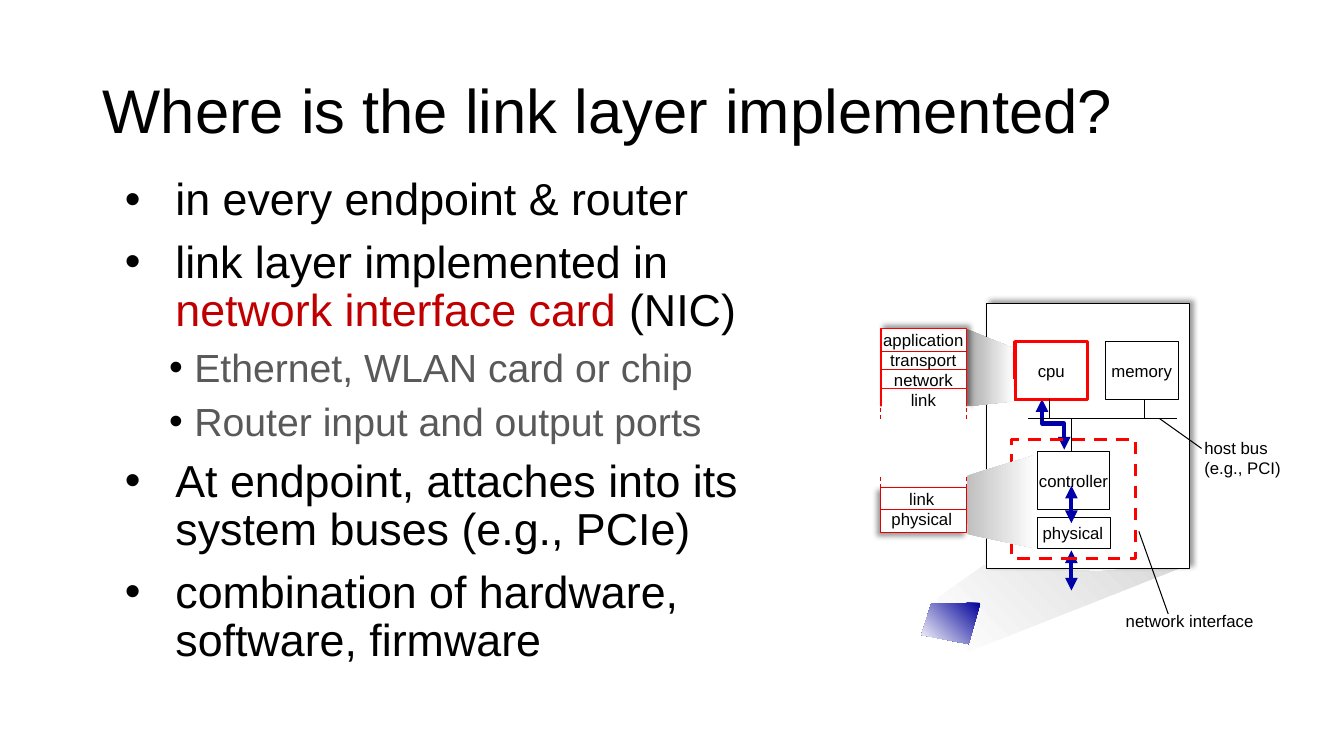
from lxml import etree
from pptx import Presentation
from pptx.dml.color import RGBColor
from pptx.enum.dml import MSO_LINE
from pptx.enum.shapes import MSO_CONNECTOR, MSO_SHAPE
from pptx.enum.text import MSO_ANCHOR, PP_ALIGN
from pptx.oxml.ns import qn
from pptx.util import Cm, Pt

RECTANGLE, STRAIGHT, DASH = MSO_SHAPE.RECTANGLE, MSO_CONNECTOR.STRAIGHT, MSO_LINE.DASH
TOP, MIDDLE = MSO_ANCHOR.TOP, MSO_ANCHOR.MIDDLE
LEFT, CENTER = PP_ALIGN.LEFT, PP_ALIGN.CENTER

BLACK, WHITE = RGBColor(0, 0, 0), RGBColor(255, 255, 255)
RED, STACK_RED = RGBColor(255, 0, 0), RGBColor(0xE4, 0, 0)
DARK_RED = RGBColor(0xC0, 0, 0)
GREY = RGBColor(0x59, 0x59, 0x59)
ARROW_BLUE, SCREEN_BLUE = RGBColor(0, 0, 0xA8), RGBColor(0, 0, 0x99)
PALE, SILVER, ASH = (RGBColor(v, v, v) for v in (0xD9, 0xBF, 0xA6))

# Content: text
TITLE = "Where is the link layer implemented?"
BULLETS = [  # level, spans of (text, colour)
    (0, [("in every endpoint & router", BLACK)]),
    (0, [("link layer implemented in ", BLACK),
         ("network interface card ", DARK_RED), ("(NIC)", BLACK)]),
    (1, [("Ethernet, WLAN card or chip", GREY)]),
    (1, [("Router input and output ports", GREY)]),
    (0, [("At endpoint, attaches into its system buses (e.g., PCIe)", BLACK)]),
    (0, [("combination of hardware, software, firmware", BLACK)]),
]
LEVELS = [  # format, text size, left margin, bullet indent
    ({"line_spacing": 0.9, "space_before": Pt(10)}, 32, 1.45, -1.27),
    ({"line_spacing": 1.0, "space_before": Pt(5)}, 28, 1.93, -0.64),
]

# Content: drawing, lengths in centimetres
BUS_Y = 10.54
CHIP_TOP, CHIP_WIDTH, CHIP_HEIGHT = 8.61, 1.83, 1.45
CHIP_BOTTOM = CHIP_TOP + CHIP_HEIGHT
NIC_X = 27.0
STACK_LEFT, STACK_WIDTH = 22.2, 2.16
STACK_RIGHT = STACK_LEFT + STACK_WIDTH

HOST_BEAM = [(23.57, 15.27), (23.65, 15.06), (24.79, 14.25),
             (27.66, 14.4), (29.97, 14.22), (24.38, 16.43)]
NIC_BEAM = [(26.11, 11.46), (24.36, 11.99), (24.38, 13.46), (26.11, 13.82)]
CPU_BEAM = [(25.5, 8.76), (24.33, 8.28), (24.36, 10.24), (25.55, 10.11)]
SCREEN = [(24.71, 15.19), (23.47, 15.21), (23.22, 16), (24.41, 16.23)]
BUS_ARROW = [(26.26, 10.06), (26.26, 10.67), (26.82, 10.67), (26.82, 11.33)]

deck = Presentation()
deck.slide_width, deck.slide_height = Cm(33.87), Cm(19.05)
page = deck.slides.add_slide(deck.slide_layouts[6])


def apply(target, values):
    for name, value in values.items():
        setattr(target, name, value)


def add_span(para, text, size, color):
    span = para.add_run()
    span.text = text
    apply(span.font, {"name": "Arial", "size": Pt(size)})
    span.font.color.rgb = color


def write(shape, lines, size=12, align=LEFT, anchor=TOP, wrap=False, spacing=1.0):
    frame = shape.text_frame
    apply(frame, {"word_wrap": wrap, "vertical_anchor": anchor})
    for number, line in enumerate(lines):
        para = frame.add_paragraph() if number else frame.paragraphs[0]
        apply(para, {"alignment": align, "line_spacing": spacing})
        add_span(para, line, size, BLACK)


def text_box(area, lines, **options):
    write(page.shapes.add_textbox(*map(Cm, area)), lines, **options)


def set_line(shape, color, width, dash=None):
    shape.line.color.rgb = color
    shape.line.width = Pt(width)
    if dash:
        shape.line.dash_style = dash


def add_heads(shape):
    outline = shape._element.spPr.get_or_add_ln()
    for end in ("a:headEnd", "a:tailEnd"):
        etree.SubElement(outline, qn(end), type="triangle")


def rect(area, color=None, width=0.75, fill=WHITE, dash=None, label=None, shadow=None):
    shape = page.shapes.add_shape(RECTANGLE, *map(Cm, area))
    shape.shadow.inherit = False
    if fill is None:
        shape.fill.background()
    else:
        shape.fill.solid()
        shape.fill.fore_color.rgb = fill
    if color is None:
        shape.line.fill.background()
    else:
        set_line(shape, color, width, dash)
    if shadow is not None:
        effects = shape._element.spPr.find(qn("a:effectLst"))
        outer = etree.SubElement(effects, qn("a:outerShdw"), blurRad=str(Pt(4)),
                                 dist=str(Pt(3)), dir=str(shadow * 60000), rotWithShape="0")
        tint = etree.SubElement(outer, qn("a:srgbClr"), val=str(BLACK))
        etree.SubElement(tint, qn("a:alpha"), val="40000")
    if label:
        write(shape, [label], align=CENTER, anchor=MIDDLE)


def line(x1, y1, x2, y2, color=BLACK, width=0.75, dash=None, heads=False):
    link = page.shapes.add_connector(STRAIGHT, *map(Cm, (x1, y1, x2, y2)))
    set_line(link, color, width, dash)
    if heads:
        add_heads(link)
    etree.SubElement(link._element.spPr, qn("a:effectLst"))


def outline_shape(points, close):
    corners = [(Cm(x), Cm(y)) for x, y in points]
    builder = page.shapes.build_freeform(*corners[0], scale=1.0)
    builder.add_line_segments(corners[1:], close=close)
    shape = builder.convert_to_shape()
    shape.shadow.inherit = False
    return shape


def gradient(points, colors, angle):
    shape = outline_shape(points, True)
    shape.fill.gradient()
    shape.fill.gradient_angle = angle
    for stop, color in zip(shape.fill.gradient_stops, colors):
        stop.color.rgb = color
    shape.line.fill.background()


# Host with its chips and bus
gradient(HOST_BEAM, (WHITE, PALE), 45)
rect((24.87, 7.65, 5.11, 6.68), BLACK, shadow=315)
rect((26.14, 13.03, 1.85, 0.79), BLACK)
rect((26.14, 11.38, CHIP_WIDTH, CHIP_HEIGHT), BLACK, label="controller")
text_box((26.01, 13.06, 2.06, 1.27), ["physical"], align=CENTER)
bus_arrow = outline_shape(BUS_ARROW, False)
bus_arrow.fill.background()
set_line(bus_arrow, ARROW_BLUE, 3)
add_heads(bus_arrow)
line(25.91, BUS_Y, 29.67, BUS_Y)
line(NIC_X, 11.38, NIC_X, BUS_Y)
for label, left, stem, color, width in [("cpu", 25.58, 26.44, RED, 2.25),
                                        ("memory", 27.86, 28.85, BLACK, 0.75)]:
    rect((left, CHIP_TOP, CHIP_WIDTH, CHIP_HEIGHT), color, width, label=label)
    line(stem, BUS_Y, stem, CHIP_BOTTOM)
for start, end in [(12.24, 13.18), (13.87, 14.88)]:
    line(NIC_X, start, NIC_X, end, ARROW_BLUE, 3, heads=True)

# Callouts
text_box((30.1, 10.9, 2.9, 1.27), ["host bus", "(e.g., PCI)"], wrap=True)
line(30.28, 11.3, 29.21, BUS_Y)
text_box((28.12, 15.27, 3.76, 0.76), ["network interface"])
line(29.44, 15.47, 28.7, 13.39)
rect((25.5, 11.07, 3.12, 3), RED, 2.25, fill=None, dash=DASH)

# Protocol stacks
gradient(NIC_BEAM, (SILVER, WHITE), 0)
rect((STACK_LEFT, 12.29, STACK_WIDTH, 1.14), STACK_RED, shadow=135)
gradient(CPU_BEAM, (ASH, WHITE), 0)
rect((STACK_LEFT, 8.28, STACK_WIDTH, 2.03), RED, 1, shadow=315)
text_box((22, 8.18, 2.54, 2.31), ["application", "transport", "network", "link"], align=CENTER)
rect((22.02, 10.24, 2.44, 0.51))
text_box((STACK_LEFT, 12.19, 2.06, 1.3), ["link", "physical"], align=CENTER)
for y, color in [(8.86, STACK_RED), (9.32, STACK_RED), (9.8, RED), (12.85, STACK_RED)]:
    line(STACK_LEFT, y, STACK_RIGHT, y, color)
for x in (STACK_LEFT, STACK_RIGHT):
    for start, end in [(10.28, 10.57), (12.01, 12.29)]:
        line(x, start, x, end, STACK_RED, dash=DASH)
gradient(SCREEN, (SCREEN_BLUE, WHITE), 225)

# Title and bullets
text_box((2.34, 1.02, 29.21, 3.68), [TITLE], size=44, anchor=MIDDLE, wrap=True, spacing=0.9)
body = page.shapes.add_textbox(Cm(2.72), Cm(4.34), Cm(16.89), Cm(14.02)).text_frame
body.word_wrap = True
for number, (level, spans) in enumerate(BULLETS):
    para = body.add_paragraph() if number else body.paragraphs[0]
    spacing, size, margin, indent = LEVELS[level]
    apply(para, {"level": level, **spacing})
    if number == 0:
        para.space_before = Pt(0)
    props = para._p.get_or_add_pPr()
    props.set("marL", str(Cm(margin)))
    props.set("indent", str(Cm(indent)))
    tint = etree.SubElement(props, qn("a:buClr"))
    etree.SubElement(tint, qn("a:srgbClr"), val=str(BLACK))
    etree.SubElement(props, qn("a:buFont"), typeface="Arial")
    etree.SubElement(props, qn("a:buChar"), char="•")
    for text, color in spans:
        add_span(para, text, size, color)

deck.save("out.pptx")
